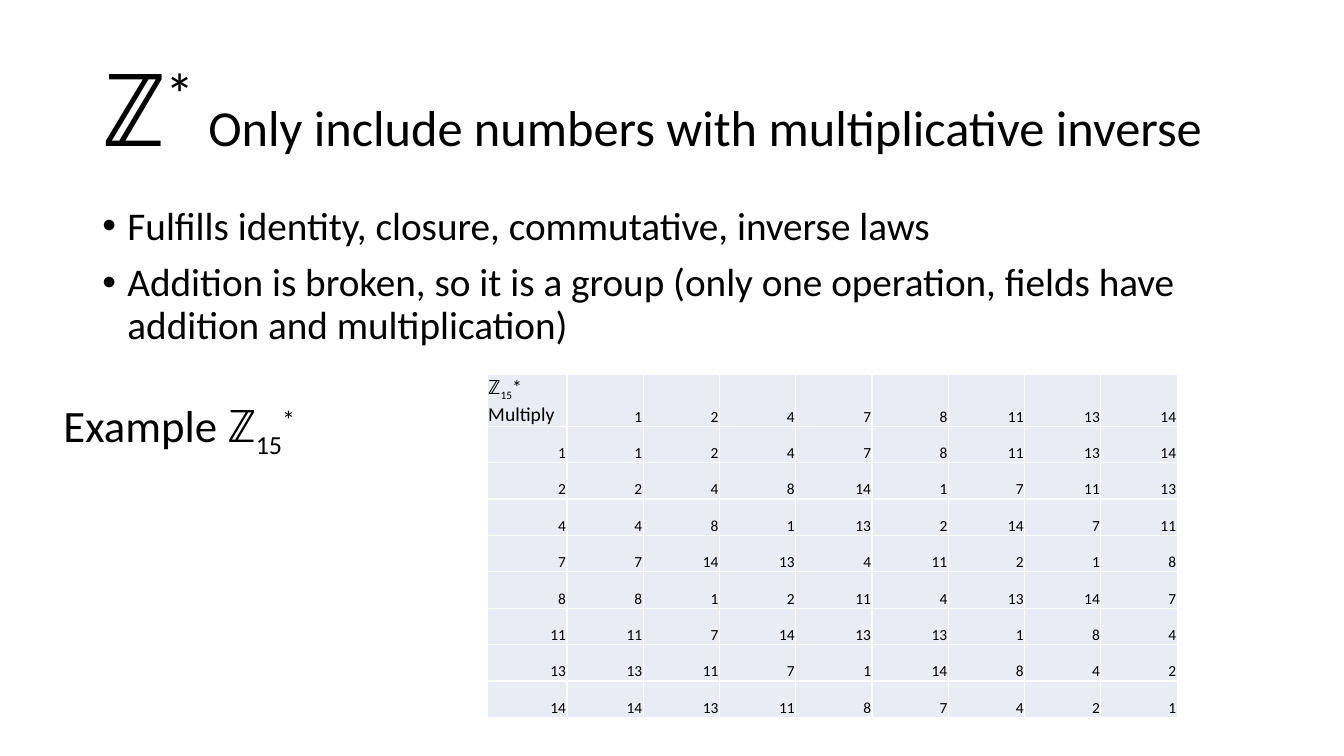
import pptx
import pptx.dml.color
import pptx.enum.text
import pptx.oxml
import pptx.oxml.ns
import pptx.util

Pt = pptx.util.Pt
ALIGN = pptx.enum.text.PP_ALIGN
ANCHOR = pptx.enum.text.MSO_ANCHOR
FIT = pptx.enum.text.MSO_AUTO_SIZE

BLACK = pptx.dml.color.RGBColor(0x00, 0x00, 0x00)
WHITE = pptx.dml.color.RGBColor(0xFF, 0xFF, 0xFF)
CELL_BLUE = pptx.dml.color.RGBColor(0xE9, 0xEB, 0xF5)
FONT = "Calibri"
SUB, SUPER = -25000, 30000

MODULUS = 15
UNITS = [1, 2, 4, 7, 8, 11, 13, 14]
PRINTED_PRODUCTS = {(11, 7): 13}  # entry that departs from the rule

LAWS = [
    "Fulfills identity, closure, commutative, inverse laws",
    "Addition is broken, so it is a group (only one operation, "
    "fields have addition and multiplication)",
]


def set_values(target, values):
    for name, value in values.items():
        setattr(target, name, value)


def place(shape, left, top, width, height):
    set_values(shape, {"left": Pt(left), "top": Pt(top),
                       "width": Pt(width), "height": Pt(height)})


def write(paragraph, pieces):
    """Add (text, size, baseline) pieces as runs."""
    for text, size, baseline in pieces:
        run = paragraph.add_run()
        run.text = text
        set_values(run.font, {"name": FONT, "size": Pt(size), "bold": False})
        run.font.color.rgb = BLACK
        if baseline:
            run.font._element.set("baseline", str(baseline))


def add_title(slide, pieces):
    title = slide.shapes.title
    place(title, 66, 28.75, 828, 104.4)
    set_values(title.text_frame, {"word_wrap": True, "auto_size": FIT.NONE,
                                  "vertical_anchor": ANCHOR.MIDDLE})
    heading = title.text_frame.paragraphs[0]
    set_values(heading, {"alignment": ALIGN.LEFT, "line_spacing": 0.9})
    write(heading, pieces)


def add_text_frame(slide, box):
    frame = slide.shapes.add_textbox(*map(Pt, box)).text_frame
    frame.word_wrap = True
    return frame


def add_bullets(slide, box, lines):
    frame = add_text_frame(slide, box)
    for index, line in enumerate(lines):
        bullet = frame.add_paragraph() if index else frame.paragraphs[0]
        set_values(bullet, {"line_spacing": 0.9,
                            "space_before": Pt(10 if index else 0)})
        properties = bullet._p.get_or_add_pPr()
        properties.set("marL", str(Pt(18)))
        properties.set("indent", str(Pt(-18)))
        for mark in ('buFont {} typeface="Arial"', 'buChar {} char="•"'):
            properties.append(pptx.oxml.parse_xml(
                "<a:" + mark.format(pptx.oxml.ns.nsdecls("a")) + "/>"))
        write(bullet, [(line, 28, 0)])


def format_cell(cell):
    set_values(cell, {"margin_left": Pt(0.75), "margin_right": Pt(0.75),
                      "margin_top": Pt(0.75), "margin_bottom": Pt(0),
                      "vertical_anchor": ANCHOR.BOTTOM})
    properties = cell._tc.get_or_add_tcPr()
    for side in "LRTB":
        properties.append(pptx.oxml.parse_xml(
            f'<a:ln{side} {pptx.oxml.ns.nsdecls("a")} w="{Pt(1)}">'
            f'<a:solidFill><a:srgbClr val="{WHITE}"/></a:solidFill></a:ln{side}>'))
    cell.fill.solid()
    cell.fill.fore_color.rgb = CELL_BLUE


def product(a, b):
    return PRINTED_PRODUCTS.get((a, b), a * b % MODULUS)


def add_multiplication_table(slide, left, top):
    count = len(UNITS) + 1
    label_width, unit_width, header_height, row_height = 57, 54.5, 27.4, 26
    table = slide.shapes.add_table(
        count, count, Pt(left), Pt(top),
        Pt(label_width + unit_width * len(UNITS)),
        Pt(header_height + row_height * len(UNITS))).table
    set_values(table, {"first_row": False, "horz_banding": False})
    for index in range(count):
        table.columns[index].width = Pt(unit_width if index else label_width)
        table.rows[index].height = Pt(row_height if index else header_height)

    # The border row and column of 1s repeat the units themselves
    grid = [[None] + UNITS]
    grid += [[a] + [product(a, b) for b in UNITS] for a in UNITS]
    for r, values in enumerate(grid):
        for c, value in enumerate(values):
            cell = table.cell(r, c)
            format_cell(cell)
            entry = cell.text_frame.paragraphs[0]
            if value is None:
                write(entry, [("ℤ", 14, 0), (str(MODULUS), 14, SUB),
                              ("* Multiply", 14, 0)])
            else:
                entry.alignment = ALIGN.RIGHT
                write(entry, [(str(value), 11, 0)])


def main():
    deck = pptx.Presentation()
    set_values(deck, {"slide_width": Pt(960), "slide_height": Pt(540)})
    slide = deck.slides.add_slide(deck.slide_layouts[5])

    # Heading and group laws
    add_title(slide, [("ℤ", 72, 0), ("* ", 72, SUPER),
                      ("Only include numbers with multiplicative inverse", 36, 0)])
    add_bullets(slide, (66, 144, 828, 113), LAWS)

    # Worked example
    add_multiplication_table(slide, 348, 267.8)
    example = add_text_frame(slide, (38.2, 280.8, 257.8, 46))
    example.auto_size = FIT.SHAPE_TO_FIT_TEXT
    write(example.paragraphs[0], [("Example ℤ", 32, 0),
                                  (str(MODULUS), 32, SUB), ("*", 32, SUPER)])

    deck.save("out.pptx")


if __name__ == "__main__":
    main()
